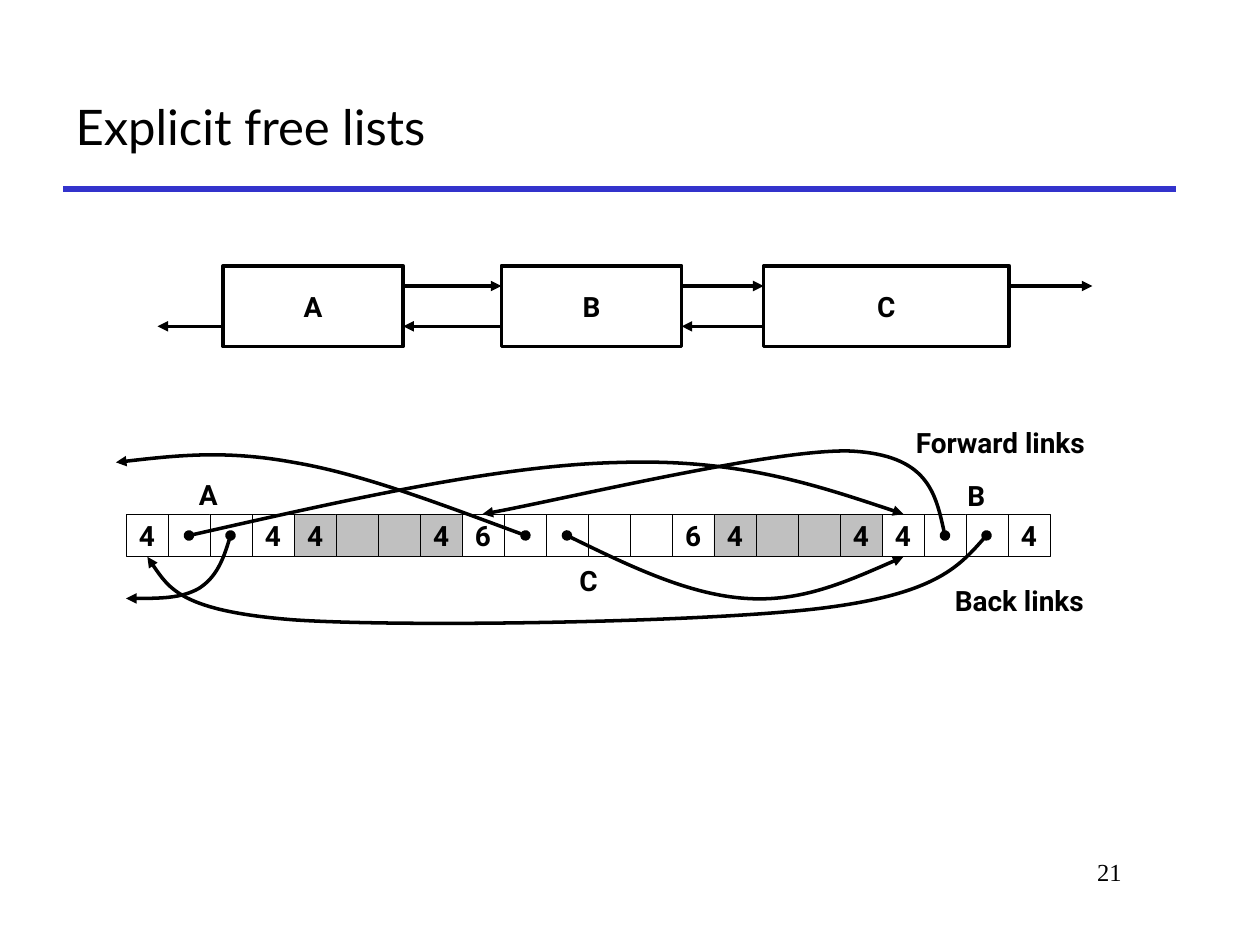
import dataclasses
import itertools

import lxml.etree
import pptx
import pptx.dml.color
import pptx.dml.line
import pptx.enum.shapes
import pptx.enum.text
import pptx.oxml.ns
import pptx.shapes.autoshape
import pptx.shapes.base
import pptx.shapes.connector
import pptx.slide
import pptx.text.text
import pptx.util

Inches = pptx.util.Inches
Pt = pptx.util.Pt
RGBColor = pptx.dml.color.RGBColor
qn = pptx.oxml.ns.qn
Align = pptx.enum.text.PP_ALIGN
Anchor = pptx.enum.text.MSO_ANCHOR
Fit = pptx.enum.text.MSO_AUTO_SIZE

BLACK = RGBColor(0x00, 0x00, 0x00)
WHITE = RGBColor(0xFF, 0xFF, 0xFF)
GRAY = RGBColor(0xC0, 0xC0, 0xC0)
BLUE = RGBColor(0x33, 0x33, 0xCC)

LABEL = {"name": "Roboto", "size": Pt(16), "bold": True}
TITLE = {"name": "Lato", "size": Pt(28), "bold": False}
NUMBER = {"name": "Times New Roman", "size": Pt(14), "bold": False}

CELL = 1 / 3
ROW_LEFT, ROW_TOP = 1.0, 4.08
NODE_TOP, NODE_HIGH = 2.11, 0.64
NEXT_Y, BACK_Y = 2.27, 2.59
FIRST_X, LAST_X = 1.25, 8.67


@dataclasses.dataclass(frozen=True)
class Node:
    """A box of the linked list."""
    text: str
    left: float
    width: float

    @property
    def right(self) -> float:
        """Give the right edge."""
        return self.left + self.width


@dataclasses.dataclass(frozen=True)
class Block:
    """A heap block, tagged with its size at both ends."""
    size: int
    fill: RGBColor


@dataclasses.dataclass(frozen=True)
class Label:
    """A free-standing text."""
    text: str
    left: float
    top: float
    width: float
    height: float = 0.37
    style: dict = dataclasses.field(default_factory=lambda: LABEL)
    align: Align = Align.LEFT
    wrap: bool = False


@dataclasses.dataclass(frozen=True)
class Link:
    """A curved pointer: its start, then three points for each Bezier piece."""
    start: tuple[float, float]
    points: tuple[tuple[float, float], ...]


NODES = [Node("A", 1.77, 1.43), Node("B", 3.98, 1.43), Node("C", 6.06, 1.95)]
BLOCKS = [Block(4, WHITE), Block(4, GRAY), Block(6, WHITE), Block(4, GRAY), Block(4, WHITE)]
LINKS = [
    Link((1.5, 4.25), ((2.74, 3.97), (3.97, 3.69), (4.92, 3.67),
                       (5.86, 3.64), (6.51, 3.86), (7.17, 4.08))),
    Link((7.5, 4.25), ((7.43, 3.93), (7.36, 3.61), (6.75, 3.58),
                       (6.14, 3.56), (4.32, 4.0), (3.83, 4.08))),
    Link((7.83, 4.25), ((7.62, 4.49), (7.41, 4.72), (6.5, 4.83),
                        (5.58, 4.94), (3.22, 4.98), (2.33, 4.92),
                        (1.44, 4.85), (1.31, 4.63), (1.17, 4.42))),
    Link((4.5, 4.25), ((4.99, 4.49), (5.47, 4.72), (5.92, 4.75),
                       (6.36, 4.78), (6.76, 4.6), (7.17, 4.42))),
    Link((4.17, 4.25), ((3.52, 4.01), (2.87, 3.76), (2.33, 3.67),
                        (1.79, 3.57), (1.35, 3.62), (0.92, 3.67))),
    Link((1.83, 4.25), ((1.78, 4.42), (1.72, 4.58), (1.58, 4.67),
                        (1.44, 4.75), (1.22, 4.75), (1.0, 4.75))),
]
LABELS = [
    Label("Forward links", 7.17, 3.33, 1.65),
    Label("Back links", 7.48, 4.58, 1.3),
    Label("A", 1.48, 3.74, 0.36),
    Label("B", 7.58, 3.75, 0.36),
    Label("C", 4.5, 4.42, 0.36),
    Label("21", 7.58, 6.75, 1.42, 0.5, NUMBER, Align.RIGHT, True),
]


def write(frame: pptx.text.text.TextFrame, text: str, style: dict, align: Align) -> None:
    """Fill a text frame with one styled line."""
    frame.text = text
    line = frame.paragraphs[0]
    line.alignment = align
    font = line.runs[0].font
    for name, value in style.items():
        setattr(font, name, value)
    font.color.rgb = BLACK


def stroke(line: pptx.dml.line.LineFormat, width: float, color: RGBColor = BLACK) -> None:
    """Set the colour and width of a line."""
    line.color.rgb = color
    line.width = Pt(width)


def add_ends(shape: pptx.shapes.base.BaseShape, **ends: str) -> None:
    """Put marks on the line ends."""
    line = shape.element.spPr.get_or_add_ln()
    for name, kind in ends.items():
        lxml.etree.SubElement(line, qn(f"a:{name}"), type=kind)


def add_box(slide: pptx.slide.Slide, left: float, top: float, width: float,
            height: float, text: str, fill: RGBColor, weight: float) -> None:
    """Draw a box with a centred label."""
    box = slide.shapes.add_shape(pptx.enum.shapes.MSO_SHAPE.RECTANGLE, Inches(left),
                                 Inches(top), Inches(width), Inches(height))
    box.shadow.inherit = False
    box.fill.solid()
    box.fill.fore_color.rgb = fill
    stroke(box.line, weight)
    if text:
        box.text_frame.word_wrap = False
        box.text_frame.vertical_anchor = Anchor.MIDDLE
        write(box.text_frame, text, LABEL, Align.CENTER)


def add_line(slide: pptx.slide.Slide, start: float, end: float, y: float,
             weight: float = 2, color: RGBColor = BLACK) -> pptx.shapes.connector.Connector:
    """Draw a level line."""
    line = slide.shapes.add_connector(pptx.enum.shapes.MSO_CONNECTOR.STRAIGHT, Inches(start),
                                      Inches(y), Inches(end), Inches(y))
    stroke(line.line, weight, color)
    lxml.etree.SubElement(line.element.spPr, qn("a:effectLst"))
    return line


def add_list(slide: pptx.slide.Slide) -> None:
    """Draw the list nodes and the arrows between them."""
    for node in NODES:
        add_box(slide, node.left, NODE_TOP, node.width, NODE_HIGH, node.text, WHITE, 2)
    lefts = [node.left for node in NODES] + [LAST_X]
    rights = [FIRST_X] + [node.right for node in NODES]
    for node, ahead, behind in zip(NODES, lefts[1:], rights):
        add_ends(add_line(slide, node.right, ahead, NEXT_Y), tailEnd="triangle")
        add_ends(add_line(slide, node.left, behind, BACK_Y), tailEnd="triangle")


def add_heap(slide: pptx.slide.Slide) -> None:
    """Draw the row of cells, block by block."""
    count = itertools.count()
    for block in BLOCKS:
        for spot in range(block.size):
            text = str(block.size) if spot in (0, block.size - 1) else ""
            add_box(slide, ROW_LEFT + next(count) * CELL, ROW_TOP, CELL, CELL,
                    text, block.fill, 0.25)


def add_link(slide: pptx.slide.Slide, link: Link) -> None:
    """Draw a curved pointer."""
    pen = slide.shapes.build_freeform(*map(Inches, link.start))
    pen.add_line_segments([(Inches(x), Inches(y)) for x, y in link.points], close=False)
    shape = pen.convert_to_shape()
    steps = list(shape.element.iter(qn("a:lnTo")))
    trace = steps[0].getparent()
    for first in range(0, len(steps), 3):
        curve = lxml.etree.SubElement(trace, qn("a:cubicBezTo"))
        for step in steps[first:first + 3]:
            curve.append(step[0])
            trace.remove(step)
    shape.shadow.inherit = False
    shape.fill.background()
    stroke(shape.line, 2)
    add_ends(shape, headEnd="oval", tailEnd="triangle")


def add_label(slide: pptx.slide.Slide, label: Label) -> None:
    """Draw a free-standing text."""
    place = (label.left, label.top, label.width, label.height)
    frame = slide.shapes.add_textbox(*map(Inches, place)).text_frame
    frame.word_wrap = label.wrap
    frame.auto_size = Fit.NONE if label.wrap else Fit.SHAPE_TO_FIT_TEXT
    write(frame, label.text, label.style, label.align)


def main() -> None:
    """Build and save the slide."""
    deck = pptx.Presentation()
    deck.slide_width, deck.slide_height = Inches(10), Inches(7.5)
    slide = deck.slides.add_slide(deck.slide_layouts[5])
    add_line(slide, 0.5, 9.33, 1.5, 3, BLUE)
    title = slide.shapes.title
    place = {"left": 0.5, "top": 0.5, "width": 8.83, "height": 1}
    for name, value in place.items():
        setattr(title, name, Inches(value))
    title.text_frame.vertical_anchor = Anchor.MIDDLE
    write(title.text_frame, "Explicit free lists", TITLE, Align.LEFT)
    add_list(slide)
    add_heap(slide)
    for link in LINKS:
        add_link(slide, link)
    for label in LABELS:
        add_label(slide, label)
    deck.save("out.pptx")


main()
